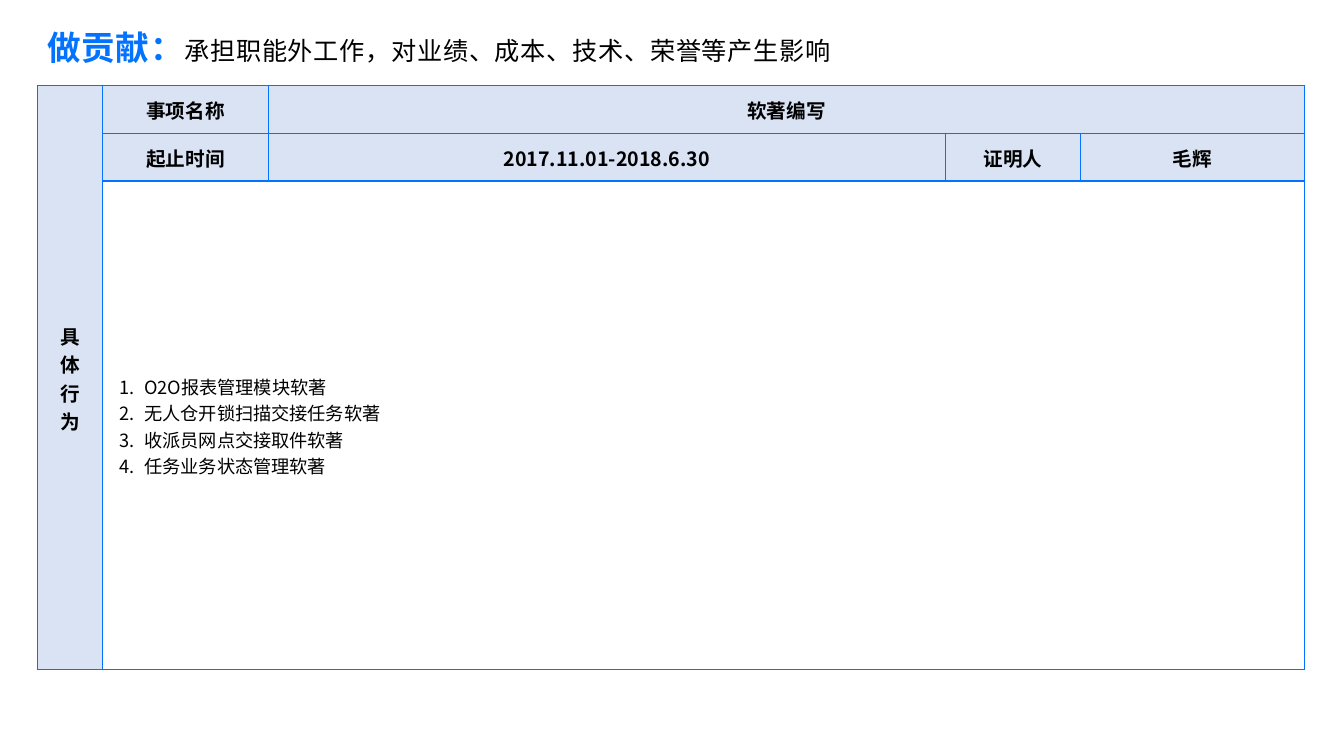
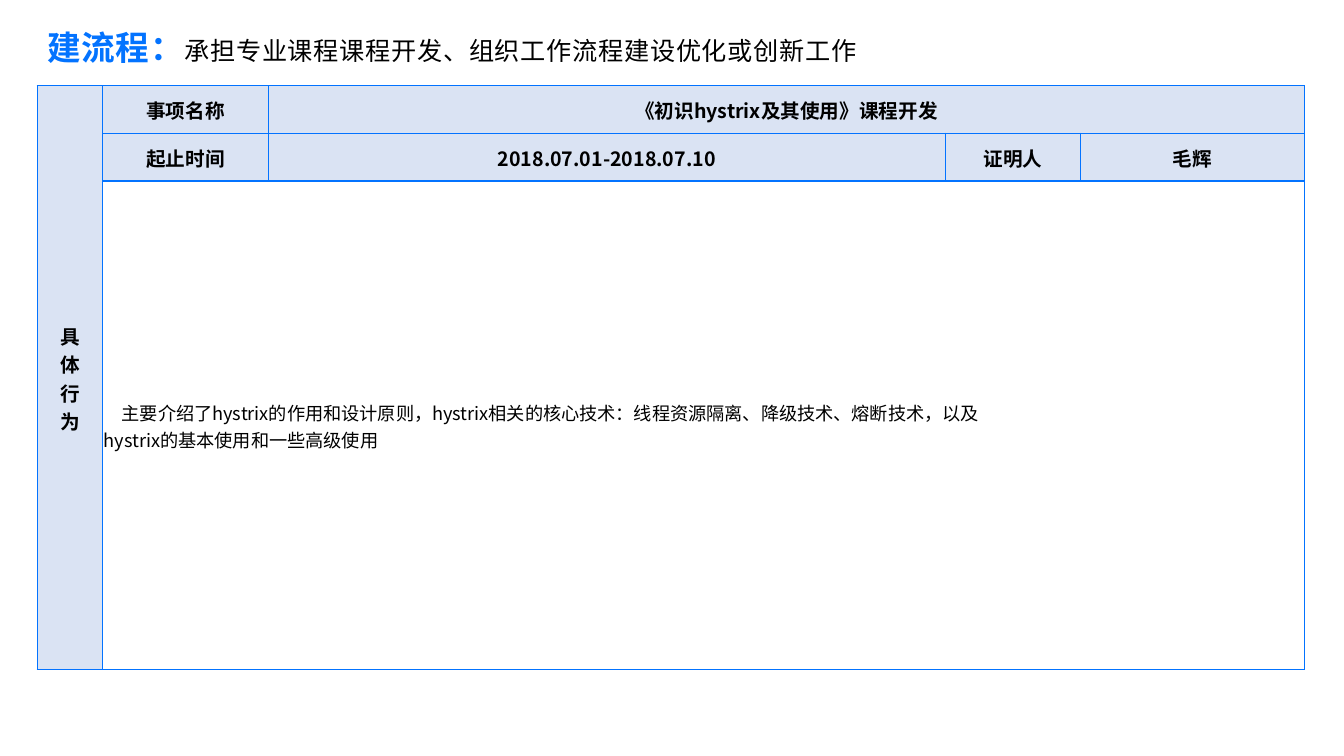
from lxml.etree import SubElement
from pptx import Presentation
from pptx.dml.color import RGBColor
from pptx.enum.text import MSO_ANCHOR, MSO_AUTO_SIZE, PP_ALIGN
from pptx.oxml import parse_xml
from pptx.oxml.ns import nsdecls, qn
from pptx.util import Cm, Pt

FONT = "Noto Sans CJK SC"
COLORS = {"blue": "0373FF", "pale": "DAE3F3", "black": "000000"}

SLIDES = [
    {
        "title": "做贡献：",
        "subtitle": "承担职能外工作，对业绩、成本、技术、荣誉等产生影响",
        "item": "软著编写",
        "period": "2017.11.01-2018.6.30",
        "witness": "毛辉",
        "numbered": True,
        "body": [
            "O2O报表管理模块软著",
            "无人仓开锁扫描交接任务软著",
            "收派员网点交接取件软著",
            "任务业务状态管理软著",
        ],
    },
    {
        "title": "建流程：",
        "subtitle": "承担专业课程课程开发、组织工作流程建设优化或创新工作",
        "item": "《初识hystrix及其使用》课程开发",
        "period": "2018.07.01-2018.07.10",
        "witness": "毛辉",
        "numbered": False,
        "body": [
            "主要介绍了hystrix的作用和设计原则，hystrix相关的核心技术：线程资源隔离、降级技术、熔断技术，以及",
            "hystrix的基本使用和一些高级使用",
        ],
    },
]

SIDE_LABEL = "具体行为"
COLS = [1.65, 4.17, 17.07, 3.4, 5.65]
ROWS = [1.2, 1.2, 12.32]
LEFT, TITLE_TOP, TABLE_TOP = 0.94, 0.56, 2.16
WIDTH = sum(COLS)
SPANS = [((0, 0), (2, 0)), ((0, 2), (0, 4)), ((2, 1), (2, 4))]
BODY_CELL = (2, 1)

TITLE = {"size": Pt(24), "bold": True, "color": "blue"}
SUBTITLE = {"size": Pt(18), "bold": False, "color": "black"}
HEADER = {"size": Pt(14), "bold": True, "color": "black"}
BODY = {"size": Pt(13), "bold": False, "color": "black"}
CELL = {
    "margin_left": Cm(0.03),
    "margin_right": Cm(0.03),
    "margin_top": Cm(0.03),
    "margin_bottom": 0,
    "vertical_anchor": MSO_ANCHOR.MIDDLE,
}


def rgb(name):
    return RGBColor.from_string(COLORS[name])


def add_run(p, text, style, spacing=None):
    r = p.add_run()
    r.text = text
    r.font.name = FONT
    for key, value in style.items():
        if key == "color":
            r.font.color.rgb = rgb(value)
        else:
            setattr(r.font, key, value)
    rPr = r.font._element
    SubElement(rPr, qn("a:ea")).set("typeface", FONT)
    if spacing:
        rPr.set("spc", str(spacing))


def indent(p, left, first):
    pPr = p._p.get_or_add_pPr()
    pPr.set("marL", str(Cm(left)))
    pPr.set("indent", str(Cm(first)))
    return pPr


def paragraphs(tf, texts, style, align):
    for i, text in enumerate(texts):
        p = tf.add_paragraph() if i else tf.paragraphs[0]
        p.alignment = align
        add_run(p, text, style)


def set_borders(cell):
    tcPr = cell._tc.get_or_add_tcPr()
    for i, side in enumerate(("lnL", "lnR", "lnT", "lnB")):
        tcPr.insert(i, parse_xml(
            f'<a:{side} {nsdecls("a")} w="{Pt(1)}"><a:solidFill>'
            f'<a:srgbClr val="{COLORS["blue"]}"/></a:solidFill></a:{side}>'))


def add_title(s, data):
    tf = s.shapes.add_textbox(Cm(LEFT), Cm(TITLE_TOP), Cm(WIDTH), Cm(1.27)).text_frame
    tf.word_wrap = True
    tf.auto_size = MSO_AUTO_SIZE.SHAPE_TO_FIT_TEXT
    p = tf.paragraphs[0]
    add_run(p, data["title"], TITLE, 50)
    add_run(p, data["subtitle"], SUBTITLE, 50)


def fill_body(tf, data):
    paragraphs(tf, data["body"], BODY, PP_ALIGN.LEFT)
    if data["numbered"]:
        for p in tf.paragraphs:
            pPr = indent(p, 1.02, -0.62)
            SubElement(pPr, qn("a:buFont")).set("typeface", FONT)
            SubElement(pPr, qn("a:buAutoNum")).set("type", "arabicPeriod")
    else:
        indent(tf.paragraphs[0], 0, 0.45)


def add_record(s, data):
    table = s.shapes.add_table(
        len(ROWS), len(COLS), Cm(LEFT), Cm(TABLE_TOP), Cm(WIDTH), Cm(sum(ROWS))).table
    table.first_row = table.horz_banding = False
    for column, width in zip(table.columns, COLS):
        column.width = Cm(width)
    for row, height in zip(table.rows, ROWS):
        row.height = Cm(height)
    for r in range(len(ROWS)):
        for c in range(len(COLS)):
            cell = table.cell(r, c)
            for key, value in CELL.items():
                setattr(cell, key, value)
            if r == BODY_CELL[0] and c >= BODY_CELL[1]:
                cell.fill.background()
            else:
                cell.fill.solid()
                cell.fill.fore_color.rgb = rgb("pale")
            set_borders(cell)
    for start, end in SPANS:
        table.cell(*start).merge(table.cell(*end))
    headers = {
        (0, 0): SIDE_LABEL,
        (0, 1): ["事项名称"],
        (0, 2): [data["item"]],
        (1, 1): ["起止时间"],
        (1, 2): [data["period"]],
        (1, 3): ["证明人"],
        (1, 4): [data["witness"]],
    }
    for place, texts in headers.items():
        paragraphs(table.cell(*place).text_frame, texts, HEADER, PP_ALIGN.CENTER)
    fill_body(table.cell(*BODY_CELL).text_frame, data)


def main():
    prs = Presentation()
    prs.slide_width, prs.slide_height = Cm(33.87), Cm(19.05)
    for data in SLIDES:
        s = prs.slides.add_slide(prs.slide_layouts[6])
        add_record(s, data)
        add_title(s, data)
    prs.save("out.pptx")


if __name__ == "__main__":
    main()
